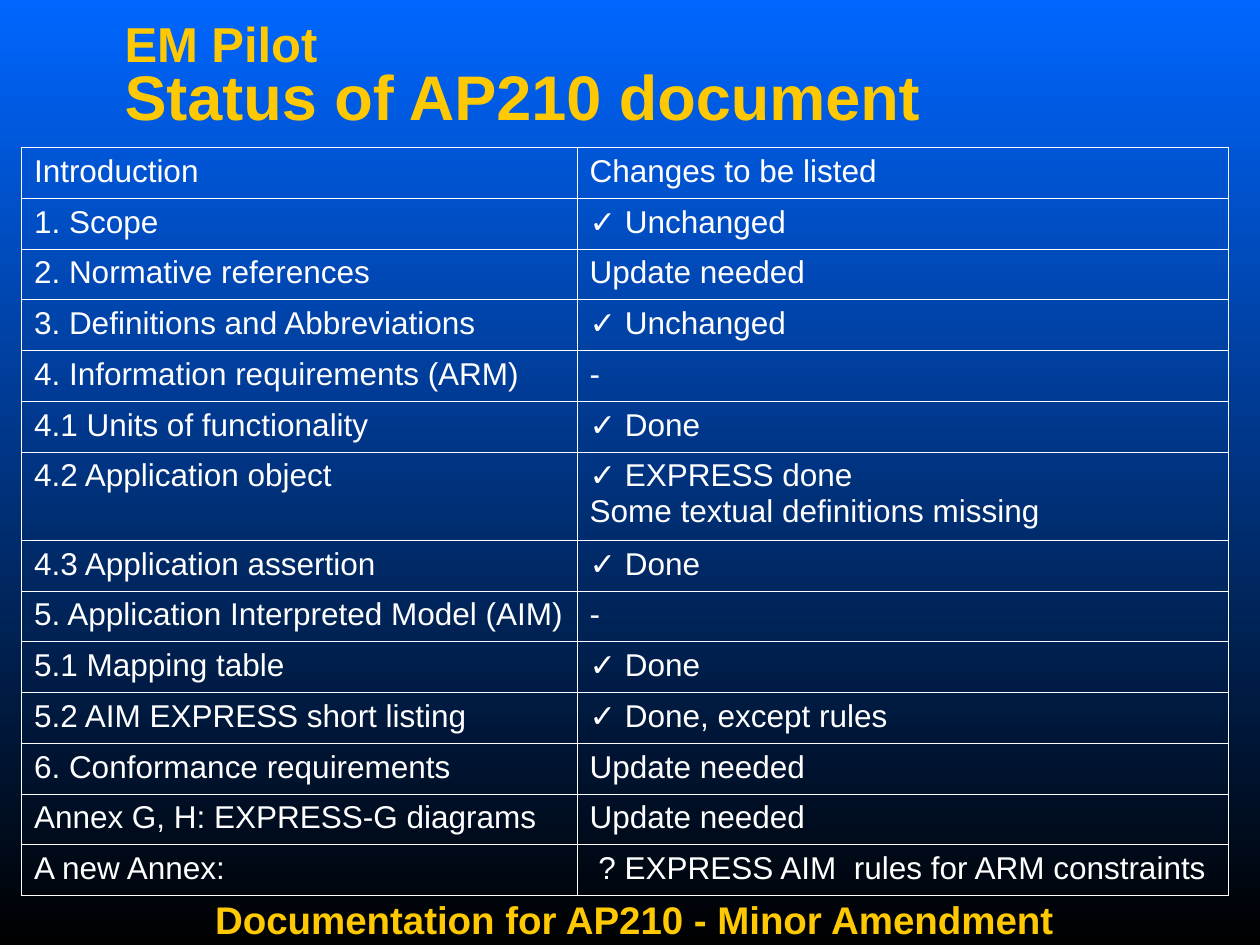
from pptx import Presentation
from pptx.dml.color import RGBColor
from pptx.enum.text import MSO_ANCHOR
from pptx.oxml import parse_xml
from pptx.oxml.ns import nsdecls
from pptx.util import Inches, Pt

GOLD, WHITE = "FEC802", "FFFFFF"
THIN, THICK = Pt(0.45), Pt(1.08)
STATUS = [
    ("Introduction", "Changes to be listed"),
    ("1. Scope", "✓ Unchanged"),
    ("2. Normative references", "Update needed"),
    ("3. Definitions and Abbreviations", "✓ Unchanged"),
    ("4. Information requirements (ARM)", "-"),
    ("4.1 Units of functionality", "✓ Done"),
    ("4.2 Application object", "✓ EXPRESS done\nSome textual definitions missing"),
    ("4.3 Application assertion", "✓ Done"),
    ("5. Application Interpreted Model (AIM)", "-"),
    ("5.1 Mapping table", "✓ Done"),
    ("5.2 AIM EXPRESS short listing", "✓ Done, except rules"),
    ("6. Conformance requirements", "Update needed"),
    ("Annex G, H: EXPRESS-G diagrams", "Update needed"),
    ("A new Annex:", " ? EXPRESS AIM  rules for ARM constraints"),
]


def color(value):
    return RGBColor.from_string(value)


def add_lines(para, text, sizes, fill, bold=False):
    """Add each line of the text as a run, with line breaks between them."""
    for index, (line, size) in enumerate(zip(text.split("\n"), sizes)):
        if index:
            para.add_line_break()
        span = para.add_run()
        span.text = line
        span.font.name = "Arial"
        span.font.size = Pt(size)
        span.font.bold = bold
        span.font.color.rgb = color(fill)


deck = Presentation()
deck.slide_width, deck.slide_height = Inches(10), Inches(7.5)
page = deck.slides.add_slide(deck.slide_layouts[6])

backdrop = page.background.fill
backdrop.gradient()
backdrop.gradient_angle = 270
for stop, position, shade in zip(backdrop.gradient_stops, (0, 1), ("0066FF", "000000")):
    stop.position = position
    stop.color.rgb = color(shade)

# Title
title = page.shapes.add_textbox(Inches(0.89), Inches(0), Inches(8.5), Inches(1.25))
title.text_frame.word_wrap = True
title.text_frame.vertical_anchor = MSO_ANCHOR.MIDDLE
heading = title.text_frame.paragraphs[0]
heading.line_spacing = 0.8
add_lines(heading, "EM Pilot\nStatus of AP210 document", (28, 36), GOLD, bold=True)

# Status table
height, tall_row = Inches(5.94), Inches(0.7)
last = len(STATUS) - 1
table = page.shapes.add_table(
    len(STATUS), 2, Inches(0.17), Inches(1.17), Inches(9.58), height
).table
table.first_row = table.horz_banding = False
table.columns[0].width, table.columns[1].width = Inches(4.41), Inches(5.17)

for row, texts in enumerate(STATUS):
    two_lines = any("\n" in text for text in texts)
    table.rows[row].height = tall_row if two_lines else (height - tall_row) // last
    for column, text in enumerate(texts):
        cell = table.cell(row, column)
        para = cell.text_frame.paragraphs[0]
        para.space_before = Pt(4.5)
        add_lines(para, text, (18, 18), WHITE)
        outer_edges = {"L": column == 0, "R": column == 1, "T": row == 0, "B": row == last}
        properties = cell._tc.get_or_add_tcPr()
        for side, outer in outer_edges.items():
            properties.append(parse_xml(
                f'<a:ln{side} {nsdecls("a")} w="{THICK if outer else THIN}">'
                f'<a:solidFill><a:srgbClr val="{WHITE}"/></a:solidFill></a:ln{side}>'
            ))
        cell.fill.background()

# Footer
footer = page.shapes.add_textbox(Inches(1.61), Inches(7.06), Inches(7), Inches(0.47))
footer.text_frame.word_wrap = True
add_lines(footer.text_frame.paragraphs[0],
          "Documentation for AP210 - Minor Amendment", (22,), GOLD, bold=True)

deck.save("out.pptx")
